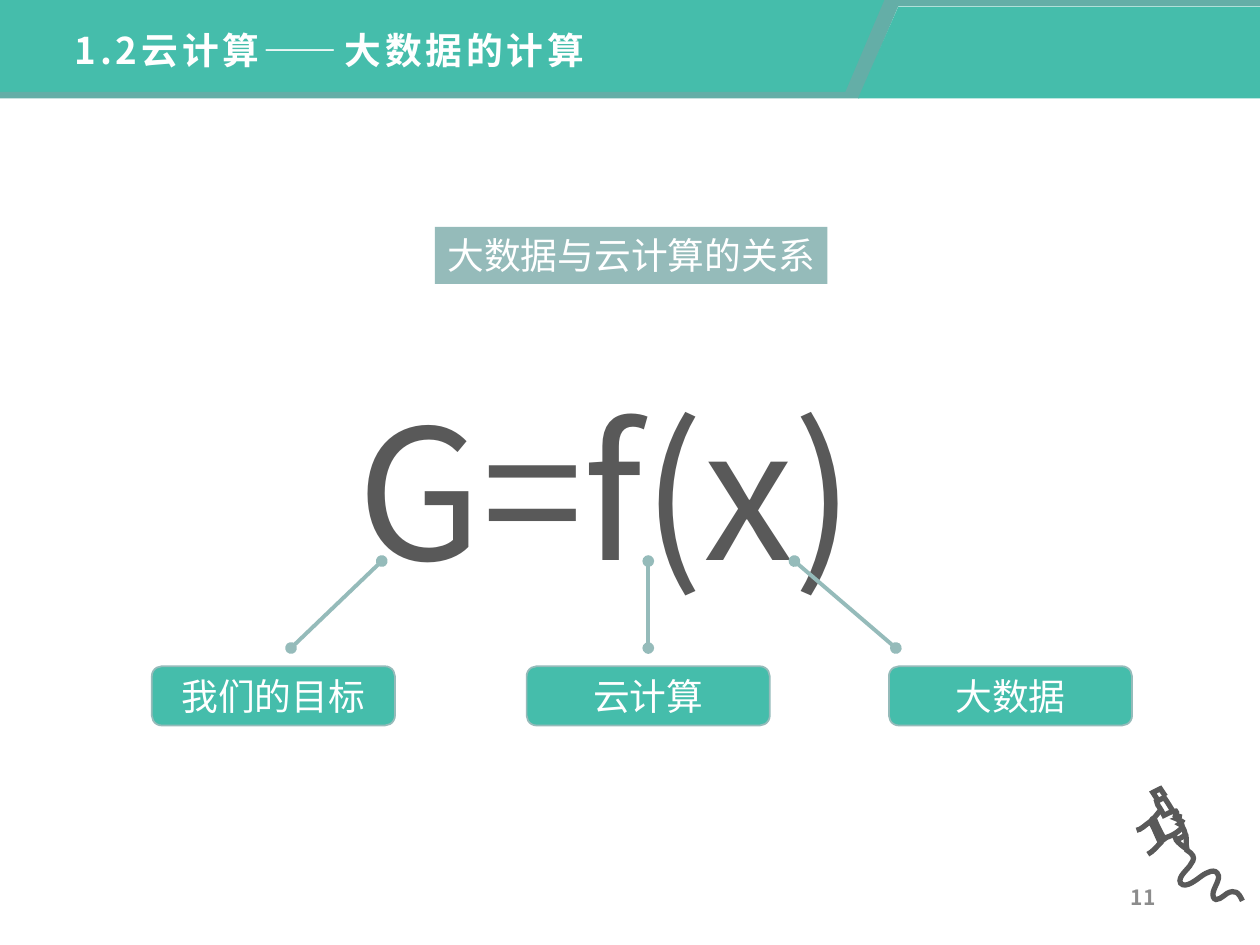
from lxml.etree import SubElement
from pptx import Presentation
from pptx.dml.color import RGBColor as RGB
from pptx.enum.shapes import MSO_CONNECTOR as CONN, MSO_SHAPE as SHAPE
from pptx.enum.text import MSO_ANCHOR as ANCHOR, MSO_AUTO_SIZE as AUTO, PP_ALIGN as ALIGN
from pptx.oxml.ns import qn
from pptx.util import Inches, Pt

COLS, ROWS = 100, 75
CELL = Inches(10) / COLS
FONT = "Noto Sans CJK SC"
COLORS = {"teal": "45BDAB", "edge": "64AEA7", "sage": "95BBBA", "ink": "595959",
          "page": "8C8C8C", "white": "FFFFFF", "lilac": "E7E4EA"}

HEADER = [
    ("teal", [(0, 0), (100, 0), (70.5, 0), (67.4, 7.3), (0, 7.3)]),
    ("edge", [(70.9, 0), (100, 0), (100, 0.48), (71.3, 0.48), (68.2, 7.8), (66.8, 7.8),
              (0, 7.8), (0, 7.3), (67.1, 7.3), (70.2, 0)]),
    ("teal", [(71.3, 0.52), (100, 0.52), (100, 7.8), (68.1, 7.8)]),
]

DOODLE = [
    (None, (4.1, 5.4), [
        (4.3, 5.5, 4.3, 5.5, 4.5, 5.7), (4.8, 6, 4.8, 6.2, 4.5, 6.6),
        (4.4, 6.9, 3.4, 7.6, 3.7, 8.1), (4.1, 8.6, 5.1, 7.7, 5.4, 7.5),
        (5.7, 7.3, 6.5, 6.8, 6.7, 7.5), (6.8, 8, 6.1, 8.7, 6.3, 9.2),
        (6.5, 9.7, 7.1, 9.1, 7.4, 8.9), (8, 8.6, 8.3, 8.8, 8.6, 9.5)]),
    ("white", (4.1, 4.3), [
        (4.1, 4, 3.9, 3.8, 3.8, 3.5), (3.3, 2.8, 2.9, 2, 2.4, 1.3), (1.8, 1.6),
        (1.9, 1.9), (2.2, 2.3, 2.8, 3.5, 3, 3.9), (3.2, 4.1, 3.2, 4.4, 3.4, 4.7)]),
    (None, (4.1, 4.2), [(4, 4.4, 3.5, 4.6, 3.3, 4.7)]),
    (None, (1.7, 2.8), [(1.8, 2.6, 2, 2.5, 2.1, 2.3)]),
    ("white", (2.2, 2.8), [
        (2.3, 2.8, 3.7, 1.9, 3.3, 2.7), (3.4, 2.7, 3.5, 2.7, 3.6, 2.8),
        (3.6, 2.9, 3.6, 3, 3.4, 3), (3.6, 3.1, 3.7, 3.1, 3.8, 3.2),
        (3.8, 3.3, 3.7, 3.3, 3.6, 3.4), (4.4, 3.6, 2.8, 4.5, 2.4, 4.5)]),
    ("lilac", (1.4, 3.1), [
        (1.4, 3, 1.5, 3, 1.6, 2.9), (1.8, 3.5, 2.1, 4, 2.4, 4.6),
        (2.2, 4.7, 2.2, 4.8, 2, 4.9)]),
    (None, (0.2, 3.9), [
        (0.5, 3.9, 1, 3.4, 1.3, 3.2), (1.6, 3.7, 1.8, 4.3, 2.1, 4.9),
        (1.8, 5.2, 1.5, 5.6, 1.1, 5.8)]),
    (None, (2.5, 1.2), [
        (2.4, 1, 2.2, 0.8, 2.1, 0.6), (1.9, 0.7, 1.7, 0.8, 1.5, 0.9),
        (1.6, 1.1, 1.8, 1.3, 1.9, 1.5)]),
    (None, (3.3, 4.6), [
        (3.5, 4.9, 3.9, 5.2, 4.2, 5.4), (4.1, 5, 4.2, 4.6, 4.1, 4.2)]),
]

CALLOUTS = [("我们的目标", 12.05, 30.3, 23.1), ("云计算", 41.8, 51.45, 51.45),
            ("大数据", 70.55, 63.05, 71.1)]


def grid(*cells):
    return [round(c * CELL) for c in cells]


def color(key):
    return RGB.from_string(COLORS[key])


def paint(sp, fill=None, line=None, width=1):
    sp.shadow.inherit = False
    if fill:
        sp.fill.solid()
        sp.fill.fore_color.rgb = color(fill)
    else:
        sp.fill.background()
    if line:
        sp.line.color.rgb = color(line)
        sp.line.width = Pt(width)
    else:
        sp.line.fill.background()


def write(sp, text, size=21, key="white", bold=False, spacing=0, align=ALIGN.LEFT, **frame):
    tf = sp.text_frame
    for name, value in frame.items():
        setattr(tf, name, value)
    p = tf.paragraphs[0]
    p.alignment = align
    r = p.add_run()
    r.text = text
    for name, value in {"size": Pt(size), "bold": bold, "name": FONT}.items():
        setattr(r.font, name, value)
    r.font.color.rgb = color(key)
    rPr = r.font._element
    SubElement(rPr, qn("a:ea")).set("typeface", FONT)
    if spacing:
        rPr.set("spc", str(spacing))


def outline(shapes, box, points, closed):
    spots = [grid(box[0] + x, box[1] + y) for x, y in points]
    builder = shapes.build_freeform(*spots[0])
    builder.add_line_segments(spots[1:], close=closed)
    return builder.convert_to_shape()


def curve(shapes, box, start, steps):
    points = [start] + [step[i:i + 2] for step in steps for i in range(0, len(step), 2)]
    sp = outline(shapes, box, points, False)
    segments = iter(list(sp._element.iter(qn("a:lnTo"))))
    for step in steps:
        segment = next(segments)
        if len(step) == 6:
            segment.tag = qn("a:cubicBezTo")
            for extra in (next(segments), next(segments)):
                segment.append(extra[0])
                extra.getparent().remove(extra)
    return sp


def add_doodle(s, box):
    group = s.shapes.add_group_shape()
    for fill, start, steps in DOODLE:
        sp = curve(group.shapes, box, start, steps)
        paint(sp, fill, "ink", 3)
        ln = sp._element.spPr.find(qn("a:ln"))
        SubElement(ln, qn("a:miter")).set("lim", "800000")


def add_formula(s, box):
    x, y, w, h = box
    sp = s.shapes.add_textbox(*grid(x, y + 11.6, w, 18.4))
    write(sp, "G=f(x)", 103.5, "ink", word_wrap=False, auto_size=AUTO.SHAPE_TO_FIT_TEXT)
    sp = s.shapes.add_shape(SHAPE.RECTANGLE, *grid(x + 7.1, y, 31.15, 4.54))
    paint(sp, "sage")
    write(sp, "大数据与云计算的关系", word_wrap=False, vertical_anchor=ANCHOR.TOP,
          auto_size=AUTO.SHAPE_TO_FIT_TEXT)


def add_callouts(s, box):
    x, y, w, h = box
    for text, left, head, tail in CALLOUTS:
        c = s.shapes.add_connector(CONN.STRAIGHT, *grid(x + head, y, x + tail, y + 6.9))
        c.line.color.rgb = color("sage")
        c.line.width = Pt(2.25)
        ln = c._element.spPr.find(qn("a:ln"))
        for end in ("a:headEnd", "a:tailEnd"):
            SubElement(ln, qn(end)).set("type", "oval")
        SubElement(c._element.spPr, qn("a:effectLst"))
        sp = s.shapes.add_shape(SHAPE.ROUNDED_RECTANGLE, *grid(x + left, y + 8.35, 19.3, 4.7))
        paint(sp, "teal", "sage")
        write(sp, text, align=ALIGN.CENTER, word_wrap=True, vertical_anchor=ANCHOR.MIDDLE)


def add_header(s, box):
    x, y, w, h = box
    for fill, points in HEADER:
        paint(outline(s.shapes, box, points, True), fill)
    title = s.shapes.title
    title.left, title.top, title.width, title.height = grid(x + 4.92, y + 1.7, 43.4, 4.5)
    write(title, "1.2云计算——大数据的计算", bold=True, spacing=220, word_wrap=False,
          vertical_anchor=ANCHOR.TOP, auto_size=AUTO.SHAPE_TO_FIT_TEXT)
    s.shapes._spTree.append(title._element)


def add_page_number(s, box):
    sp = s.shapes.add_textbox(*grid(*box))
    write(sp, "11", 12, "page", True, align=ALIGN.RIGHT, word_wrap=True,
          vertical_anchor=ANCHOR.MIDDLE)


def main():
    prs = Presentation()
    prs.slide_width, prs.slide_height = grid(COLS, ROWS)
    s = prs.slides.add_slide(prs.slide_layouts[5])
    add_doodle(s, (90, 62, 10, 10))
    add_formula(s, (27.42, 18, 45.2, 30))
    add_callouts(s, (0, 44.53, COLS, 13.05))
    add_header(s, (0, 0, COLS, 7.8))
    add_page_number(s, (70.6, 69.9, 22.1, 2.6))
    prs.save("out.pptx")


if __name__ == "__main__":
    main()
